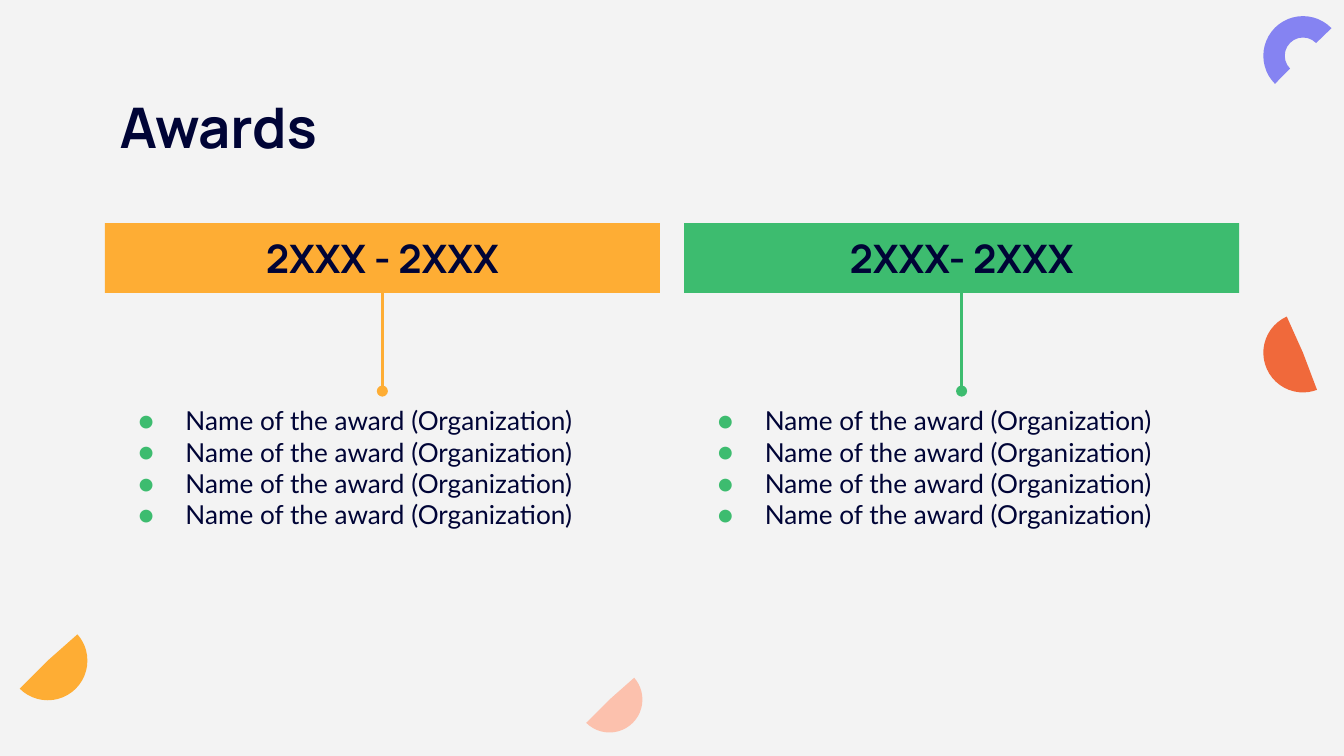
import pptx
import pptx.dml.color
import pptx.enum.shapes
import pptx.enum.text
import pptx.oxml
import pptx.oxml.ns
import pptx.util

Inches = pptx.util.Inches
Pt = pptx.util.Pt
MSO_SHAPE = pptx.enum.shapes.MSO_SHAPE
ANCHOR = pptx.enum.text.MSO_ANCHOR
ALIGN = pptx.enum.text.PP_ALIGN

COLORS = {
    "background": "F3F3F3",
    "ink": "000436",
    "amber": "FEAD34",
    "green": "3DBC6F",
    "violet": "8583F2",
    "orange": "F0693B",
    "peach": "FCC1AD",
}
HEADING_FONT, BODY_FONT = "Manrope", "Lato"
COLUMN_W = 4.13
BAR_TOP, BAR_H = 1.66, 0.52
LIST_TOP, LIST_H = 2.91, 2.13
AWARDS = ["Name of the award (Organization)"] * 4
COLUMNS = [(0.78, "2XXX - 2XXX", "amber"), (5.09, "2XXX- 2XXX", "green")]
HALF_DISC = (56.12, 162)
HALF_RING = (108, 0.54, 0.27)
DECORATIONS = [
    (MSO_SHAPE.BLOCK_ARC, 9.4, 0.12, 0.59, 315, HALF_RING, "violet"),
    (MSO_SHAPE.PIE, 0.06, 4.62, 0.59, 225, HALF_DISC, "amber"),
    (MSO_SHAPE.PIE, 9.4, 2.33, 0.59, 335.8, HALF_DISC, "orange"),
    (MSO_SHAPE.PIE, 4.29, 4.96, 0.49, 225, HALF_DISC, "peach"),
]


def rgb(color):
    return pptx.dml.color.RGBColor.from_string(COLORS[color])


def append_xml(parent, tag, attrs="", inner=""):
    ns = pptx.oxml.ns.nsdecls("a")
    parent.append(pptx.oxml.parse_xml(f"<a:{tag} {ns} {attrs}>{inner}</a:{tag}>"))


def add_run(p, text, size, font, bold=False):
    r = p.add_run()
    r.text = text
    r.font.size = Pt(size)
    r.font.name = font
    r.font.bold = bold
    r.font.color.rgb = rgb("ink")


def set_frame(tf, anchor):
    tf.word_wrap = True
    tf.auto_size = pptx.enum.text.MSO_AUTO_SIZE.NONE
    tf.vertical_anchor = anchor
    tf.margin_left = tf.margin_right = Inches(0.1)
    tf.margin_top = tf.margin_bottom = Inches(0.1)


def place(sp, left, top, width, height):
    sp.left, sp.top = Inches(left), Inches(top)
    sp.width, sp.height = Inches(width), Inches(height)


def add_filled_shape(s, kind, left, top, width, height, color):
    sp = s.shapes.add_shape(
        kind, Inches(left), Inches(top), Inches(width), Inches(height))
    sp.shadow.inherit = False
    sp.fill.solid()
    sp.fill.fore_color.rgb = rgb(color)
    sp.line.fill.background()
    return sp


def add_decoration(s, kind, left, top, size, rotation, adjustments, color):
    sp = add_filled_shape(s, kind, left, top, size, size, color)
    sp.rotation = rotation
    for i, value in enumerate(adjustments):
        sp.adjustments[i] = value


def fill_title(sp, text):
    place(sp, 0.79, 0.59, 8.43, 0.63)
    set_frame(sp.text_frame, ANCHOR.TOP)
    p = sp.text_frame.paragraphs[0]
    p.alignment = ALIGN.LEFT
    add_run(p, text, 30, HEADING_FONT, bold=True)


def add_period_bar(s, left, text, color):
    sp = add_filled_shape(
        s, MSO_SHAPE.RECTANGLE, left, BAR_TOP, COLUMN_W, BAR_H, color)
    set_frame(sp.text_frame, ANCHOR.MIDDLE)
    p = sp.text_frame.paragraphs[0]
    p.alignment = ALIGN.CENTER
    add_run(p, text, 21, HEADING_FONT, bold=True)
    return sp


def add_stem(s, bar, color):
    """Line with a round end from the bar down to its list."""
    x = bar.left + bar.width // 2
    line = s.shapes.add_connector(
        pptx.enum.shapes.MSO_CONNECTOR.STRAIGHT,
        x, bar.top + bar.height, x, Inches(LIST_TOP))
    line.begin_connect(bar, 2)
    line.line.color.rgb = rgb(color)
    line.line.width = Pt(1.5)
    append_xml(line.line._get_or_add_ln(), "tailEnd", 'type="oval"')
    append_xml(line._element.spPr, "effectLst")


def fill_list(sp, left, items):
    place(sp, left, LIST_TOP, COLUMN_W, LIST_H)
    tf = sp.text_frame
    set_frame(tf, ANCHOR.TOP)
    for i, item in enumerate(items):
        p = tf.add_paragraph() if i else tf.paragraphs[0]
        pPr = p._p.get_or_add_pPr()
        pPr.set("marL", str(Inches(0.5)))
        pPr.set("indent", str(Inches(-0.35)))
        append_xml(pPr, "buClr", inner=f'<a:srgbClr val="{COLORS["green"]}"/>')
        append_xml(pPr, "buSzPts", 'val="1200"')
        append_xml(pPr, "buFont", f'typeface="{BODY_FONT}"')
        append_xml(pPr, "buChar", 'char="●"')
        p.space_before = Pt(0)
        add_run(p, item, 14, BODY_FONT)


def main():
    prs = pptx.Presentation()
    prs.slide_width = Inches(10)
    prs.slide_height = prs.slide_width * 9 // 16
    s = prs.slides.add_slide(prs.slide_layouts.get_by_name("Two Content"))
    s.background.fill.solid()
    s.background.fill.fore_color.rgb = rgb("background")

    for decoration in DECORATIONS:
        add_decoration(s, *decoration)
    title, *lists = s.placeholders
    fill_title(title, "Awards")
    for sp, (left, period, color) in zip(lists, COLUMNS):
        fill_list(sp, left, AWARDS)
        bar = add_period_bar(s, left, period, color)
        add_stem(s, bar, color)
    prs.save("out.pptx")


if __name__ == "__main__":
    main()
